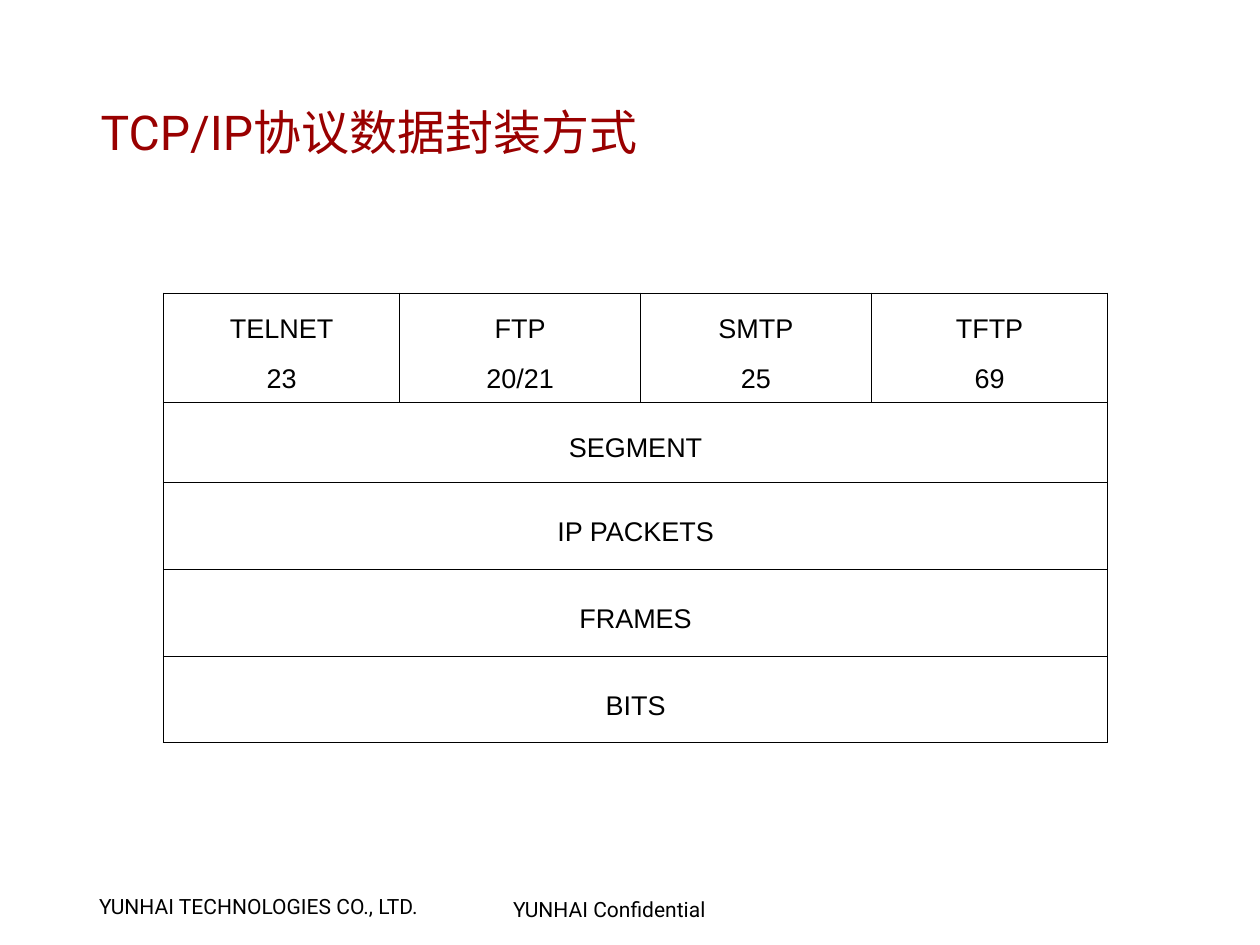
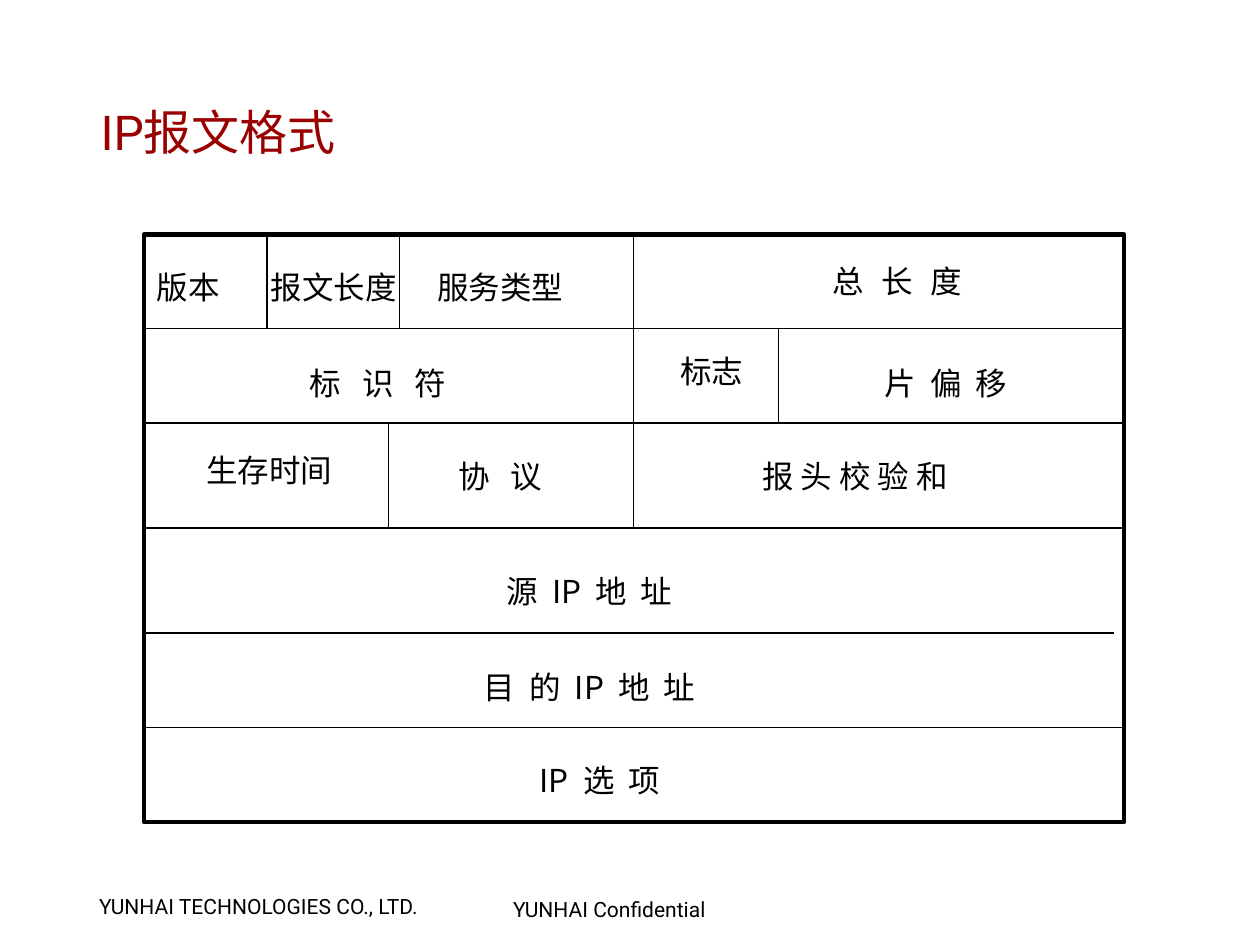
from lxml import etree
from pptx import Presentation
from pptx.dml.color import RGBColor
from pptx.enum import shapes, text
from pptx.oxml import ns
from pptx.util import Pt

BLACK = RGBColor(0x00, 0x00, 0x00)
DARK_RED = RGBColor(0x99, 0x00, 0x00)
LATIN_FONT = "Roboto"
TABLE_FONT = "Arial"
CHINESE_FONT = "Noto Sans CJK SC"
LEFT, CENTER = text.PP_ALIGN.LEFT, text.PP_ALIGN.CENTER
MIDDLE = text.MSO_ANCHOR.MIDDLE


def write(frame, content, size=14, font=LATIN_FONT, color=BLACK, align=LEFT,
          line_spacing=None, space=0, gap=0):
    """Write one paragraph per line; gap widens each space between words."""
    for index, line in enumerate(content.split("\n")):
        paragraph = frame.add_paragraph() if index else frame.paragraphs[0]
        paragraph.alignment = align
        paragraph.line_spacing = line_spacing
        paragraph.space_before = Pt(space if index else 0)
        paragraph.space_after = Pt(space)
        pieces = line.replace(" ", "| |").split("|") if gap else [line]
        for piece in pieces:
            run = paragraph.add_run()
            run.text = piece
            run.font.size = Pt(size)
            run.font.name = font
            run.font.color.rgb = color
            properties = run.font._element
            if piece == " ":
                properties.set("spc", str(round(gap * 100)))
            east_asian = etree.Element(ns.qn("a:ea"), typeface=CHINESE_FONT)
            properties.find(ns.qn("a:latin")).addnext(east_asian)


def add_text(slide, content, left, top, width, height, wrap=True, **style):
    frame = slide.shapes.add_textbox(Pt(left), Pt(top), Pt(width), Pt(height)).text_frame
    frame.word_wrap = wrap
    frame.vertical_anchor = MIDDLE
    write(frame, content, **style)


presentation = Presentation()
presentation.slide_width = Pt(840)
presentation.slide_height = Pt(630)

# Title and footers
slides = []
for title in ("TCP/IP协议数据封装方式", "IP报文格式"):
    slide = presentation.slides.add_slide(presentation.slide_layouts[6])
    add_text(slide, "YUNHAI TECHNOLOGIES CO., LTD.", 59, 592, 243, 24)
    add_text(slide, "YUNHAI Confidential", 335, 594, 157, 24)
    add_text(slide, title, 60, 58.5, 629, 57.5, size=32, color=DARK_RED)
    slides.append(slide)
encapsulation_slide, packet_slide = slides

# Encapsulation table
COLUMN_WIDTHS = (157.5, 160.5, 154, 157.5)
ROW_HEIGHTS = (69.5, 53.5, 58, 58, 57.5)
OUTER_BORDER, INNER_BORDER = 1.08, 0.45
PARAGRAPH_SPACE = 4.5
LAYERS = (
    ("TELNET\n23", "FTP\n20/21", "SMTP\n25", "TFTP\n69"),
    ("SEGMENT",),
    ("IP PACKETS",),
    ("FRAMES",),
    ("BITS",),
)
row_count, column_count = len(ROW_HEIGHTS), len(COLUMN_WIDTHS)
table = encapsulation_slide.shapes.add_table(
    row_count, column_count, Pt(109), Pt(195.5),
    Pt(sum(COLUMN_WIDTHS)), Pt(sum(ROW_HEIGHTS))).table
table.first_row = table.horz_banding = False
for column, width in zip(table.columns, COLUMN_WIDTHS):
    column.width = Pt(width)
for row, height in zip(table.rows, ROW_HEIGHTS):
    row.height = Pt(height)

for row_index, labels in enumerate(LAYERS):
    if len(labels) == 1:
        table.cell(row_index, 0).merge(table.cell(row_index, column_count - 1))
    for column_index in range(column_count):
        cell = table.cell(row_index, column_index)
        cell.vertical_anchor = MIDDLE
        cell.margin_left = cell.margin_right = Pt(8.5)
        cell.margin_top = Pt(3.6 + PARAGRAPH_SPACE)
        cell.margin_bottom = Pt(3.6)
        if column_index < len(labels):
            write(cell.text_frame, labels[column_index], size=18, font=TABLE_FONT,
                  align=CENTER, line_spacing=1.2, space=PARAGRAPH_SPACE)
        on_edge = {
            "a:lnL": column_index == 0,
            "a:lnR": column_index + cell.span_width == column_count,
            "a:lnT": row_index == 0,
            "a:lnB": row_index == row_count - 1,
        }
        cell_properties = cell._tc.get_or_add_tcPr()
        for tag, outer in on_edge.items():
            width = Pt(OUTER_BORDER if outer else INNER_BORDER)
            border = etree.SubElement(cell_properties, ns.qn(tag), w=str(width))
            fill = etree.SubElement(border, ns.qn("a:solidFill"))
            etree.SubElement(fill, ns.qn("a:srgbClr"), val=str(BLACK))
        cell.fill.background()

# IP packet frame and dividers
FRAME_LEFT, FRAME_TOP, FRAME_RIGHT, FRAME_BOTTOM = 96, 156.5, 749.5, 548
ROW_LINES = (219, 282, 352, 422, 485)
frame = packet_slide.shapes.add_shape(
    shapes.MSO_SHAPE.RECTANGLE, Pt(FRAME_LEFT), Pt(FRAME_TOP),
    Pt(FRAME_RIGHT - FRAME_LEFT), Pt(FRAME_BOTTOM - FRAME_TOP))
frame.shadow.inherit = False
frame.fill.background()
frame.line.color.rgb = BLACK
frame.line.width = Pt(3)

dividers = [(FRAME_LEFT, y, 742.5 if y == 422 else FRAME_RIGHT, y) for y in ROW_LINES]
dividers += [(x, top, x, bottom) for x, top, bottom in (
    (422.5, FRAME_TOP, ROW_LINES[2]),
    (178, FRAME_TOP, ROW_LINES[0]),
    (266.5, FRAME_TOP, ROW_LINES[0]),
    (519, ROW_LINES[0], ROW_LINES[1]),
    (259, ROW_LINES[1], ROW_LINES[2]),
)]
for points in dividers:
    divider = packet_slide.shapes.add_connector(
        shapes.MSO_CONNECTOR.STRAIGHT, *(Pt(value) for value in points))
    divider.line.color.rgb = BLACK
    divider.line.width = Pt(0.75)
    etree.SubElement(divider._element.spPr, ns.qn("a:effectLst"))

# IP packet fields: label, left, top, width, extra width of each space
FIELDS = (
    ("版本", 96, 174, 59, 0),
    ("报文长度", 172, 174, 101, 0),
    ("服务类型", 283, 174, 101, 0),
    ("总 长 度", 546, 170, 104, 7),
    ("标 识 符", 198, 238, 108, 9.4),
    ("标志", 445, 230, 59, 0),
    ("片 偏 移", 581, 238, 99, 4.7),
    ("生存时间", 129, 296, 101, 0),
    ("协 议", 297, 300, 73, 9.4),
    ("报 头 校 验 和", 500, 300, 140, 0),
    ("源 IP 地 址", 324, 377, 138, 4.7),
    ("目 的 IP 地 址", 309, 441, 168, 4.7),
    ("IP 选 项", 349, 503, 102, 4.7),
)
for label, left, top, width, gap in FIELDS:
    add_text(packet_slide, label, left, top, width, 34, wrap=False, size=21,
             font=CHINESE_FONT, align=CENTER, gap=gap)

presentation.save("out.pptx")
